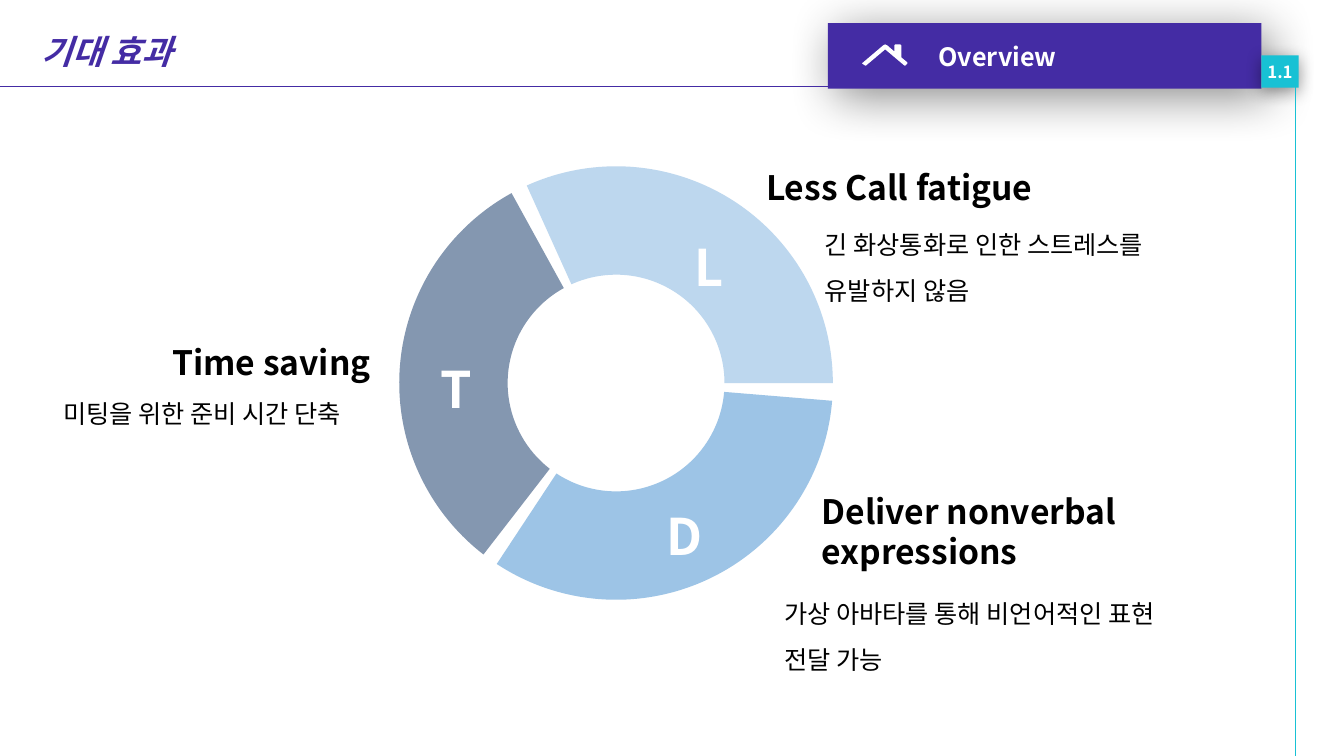
from lxml.etree import SubElement
from pptx import Presentation
from pptx.dml.color import RGBColor
from pptx.enum.shapes import MSO_CONNECTOR as Connector, MSO_SHAPE as Preset
from pptx.enum.text import MSO_ANCHOR as Anchor, MSO_AUTO_SIZE as AutoSize, PP_ALIGN as Align
from pptx.oxml.ns import qn
from pptx.util import Inches, Pt

WIDTH, HEIGHT = Inches(13.33), Inches(7.5)
FONT = "Noto Sans CJK KR"
COLORS = {
    "purple": "442CA4", "teal": "18C1D4", "white": "FFFFFF", "black": "000000",
    "light": "BDD7EE", "slate": "8497B0", "blue": "9DC4E6",
}
RING = (29.71, 22, 32.26, 57.33)
SEGMENTS = [(245.67, 360, "light"), (127.7, 241.2, "slate"), (4.7, 123.4, "blue")]
LETTERS = [("L", 50.94, 26.53), ("D", 48.84, 62.13), ("T", 32.03, 42.67)]
HEADINGS = [
    ("Less Call fatigue", (56.26, 18.8, 27.68, 9.47), 1.5),
    ("Deliver nonverbal expressions", (60.39, 64.27, 26.93, 12.13), 1),
    ("Time saving", (12.08, 41.87, 23.63, 9.47), 1.5),
]
DETAILS = [
    ("긴 화상통화로 인한 스트레스를 유발하지 않음", (60.62, 27.73, 26.78, 12.67)),
    ("가상 아바타를 통해 비언어적인 표현 전달 가능", (57.61, 76.53, 32.41, 12.67)),
    ("미팅을 위한 준비 시간 단축", (3.98, 50, 26.93, 6.67)),
]
ROOF = [
    (45, 18), (39, 13), (39, 1), (38, 0), (33, 0), (32, 1), (32, 7), (25, 1), (23, 0),
    (21, 1), (1, 18), (0, 19), (3, 21), (4, 21), (23, 5), (42, 21), (43, 21), (45, 19),
]


def color(name):
    return RGBColor.from_string(COLORS[name])


def across(percent):
    return round(WIDTH * percent / 100)


def down(percent):
    return round(HEIGHT * percent / 100)


def place(area):
    left, top, width, height = area
    return across(left), down(top), across(width), down(height)


def write(box, text, size, ink, bold=True, italic=False, spacing=1):
    box.text_frame.text = text
    para = box.text_frame.paragraphs[0]
    para.line_spacing = spacing
    span = para.runs[0]
    font = span.font
    font.name, font.size, font.bold, font.italic = FONT, Pt(size), bold, italic
    font.color.rgb = color(ink)
    SubElement(font._element, qn("a:ea"), typeface=FONT)
    return para


def add_text(page, text, area, size, ink, bold=True, spacing=1.5):
    box = page.shapes.add_textbox(*place(area))
    box.text_frame.word_wrap = True
    box.text_frame.auto_size = AutoSize.SHAPE_TO_FIT_TEXT
    write(box, text, size, ink, bold, spacing=spacing)


def paint(shape, fill):
    shape.shadow.inherit = False
    shape.fill.solid()
    shape.fill.fore_color.rgb = color(fill)
    shape.line.fill.background()


def add_preset(page, preset, area, fill):
    shape = page.shapes.add_shape(preset, *place(area))
    paint(shape, fill)
    return shape


def cast_shadow(shape, opacity, blur, distance, angle):
    effects = shape._element.spPr.find(qn("a:effectLst"))
    shadow = SubElement(effects, qn("a:outerShdw"), blurRad=str(Pt(blur)),
                        dist=str(Pt(distance)), dir=str(angle * 60000), rotWithShape="0")
    tint = SubElement(shadow, qn("a:srgbClr"), val=COLORS["black"])
    SubElement(tint, qn("a:alpha"), val=str(opacity * 1000))


def add_line(page, start, end, ink):
    line = page.shapes.add_connector(
        Connector.STRAIGHT, across(start[0]), down(start[1]), across(end[0]), down(end[1]))
    line.line.color.rgb = color(ink)
    line.line.width = Pt(0.5)
    SubElement(line._element.spPr, qn("a:effectLst"))


def add_title(page, text):
    title = page.shapes.title
    title.left, title.top, title.width, title.height = place((2.33, 3.47, 57.54, 6.67))
    para = write(title, text, 24, "purple", italic=True)
    para.alignment = Align.LEFT
    title.text_frame.vertical_anchor = Anchor.TOP
    title.text_frame.word_wrap = True
    title.text_frame.auto_size = AutoSize.SHAPE_TO_FIT_TEXT


def add_banner(page):
    banner = add_preset(page, Preset.ROUNDED_RECTANGLE, (61.59, 3.07, 32.26, 8.67), "purple")
    banner.adjustments[0] = 0
    cast_shadow(banner, 45, 35, 8, 45)
    banner.text_frame.vertical_anchor = Anchor.MIDDLE
    para = write(banner, "Overview", 18, "white")
    para.alignment = Align.LEFT
    para.level = 2
    properties = para._p.get_or_add_pPr()
    properties.set("marL", str(Inches(1)))
    properties.set("indent", "0")


def add_badge(page):
    badge = add_preset(page, Preset.RECTANGLE, (93.85, 7.33, 2.78, 4.27), "teal")
    cast_shadow(badge, 40, 12, 3, 90)
    badge.text_frame.word_wrap = False
    badge.text_frame.vertical_anchor = Anchor.MIDDLE
    write(badge, "1.1", 12, "white").alignment = Align.CENTER


def add_roof(page):
    left, top, width, height = place((64.14, 5.87, 3.38, 2.8))
    builder = page.shapes.build_freeform(*ROOF[0], scale=(width / 45, height / 21))
    builder.add_line_segments(ROOF[1:], close=True)
    paint(builder.convert_to_shape(left, top), "white")


def add_segment(page, start, end, fill):
    arc = add_preset(page, Preset.BLOCK_ARC, RING, fill)
    arc.adjustments[0] = (start - end) % 360 * 0.6
    arc.adjustments[1] = 0
    arc.adjustments[2] = 0.25
    arc.rotation = end % 360


def main():
    deck = Presentation()
    deck.slide_width, deck.slide_height = WIDTH, HEIGHT
    page = deck.slides.add_slide(deck.slide_layouts[5])
    add_banner(page)
    add_badge(page)
    add_roof(page)
    add_line(page, (96.4, 10.93), (96.4, 100), "teal")
    add_line(page, (0, 11.47), (64.37, 11.47), "purple")
    add_title(page, "기대 효과")
    for text, area, spacing in HEADINGS:
        add_text(page, text, area, 24, "black", spacing=spacing)
    for text, area in DETAILS:
        add_text(page, text, area, 18, "black", bold=False)
    for start, end, fill in SEGMENTS:
        add_segment(page, start, end, fill)
    for letter, left, top in LETTERS:
        add_text(page, letter, (left, top, 9.08, 13.47), 36, "white")
    deck.save("out.pptx")


if __name__ == "__main__":
    main()
